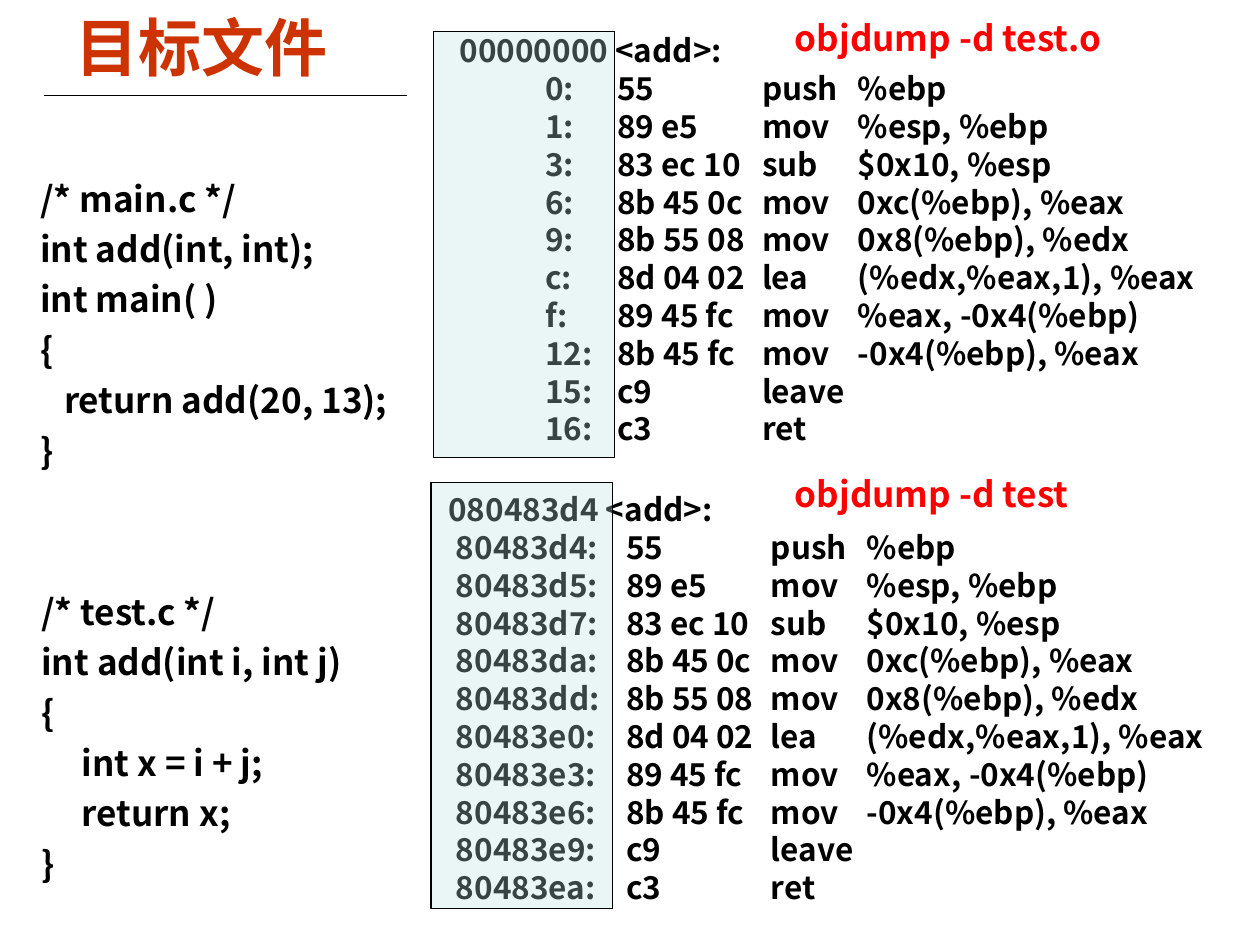
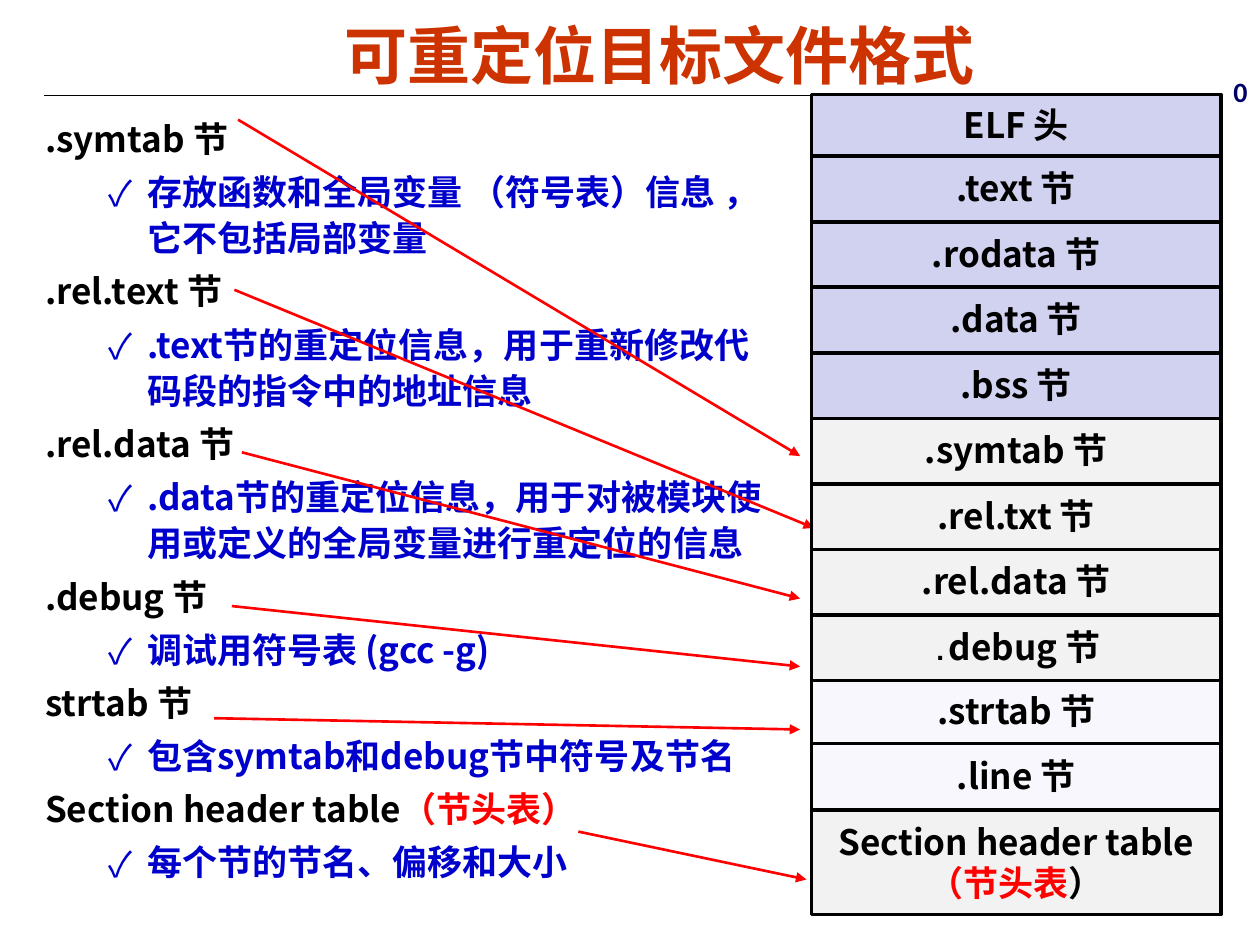
from lxml import etree
from pptx import Presentation
from pptx import util as u
from pptx.dml.color import RGBColor
from pptx.enum import shapes, text
from pptx.oxml.ns import qn

FONT = "Noto Sans CJK SC"
BLACK, WHITE, RED, BLUE = "000000", "FFFFFF", "FF0000", "0000CC"
TITLE_COLOUR, NAVY = "CC3300", "000066"
TEAL, LILAC, GREY, PALE = "BBE0E3", "D1D1F0", "F2F2F2", "D6D6F5"
MIDDLE = text.MSO_ANCHOR.MIDDLE
CENTER = text.PP_ALIGN.CENTER

INSTRUCTIONS = [
    ("55", "push", "%ebp"),
    ("89 e5", "mov", "%esp, %ebp"),
    ("83 ec 10", "sub", "$0x10, %esp"),
    ("8b 45 0c", "mov", "0xc(%ebp), %eax"),
    ("8b 55 08", "mov", "0x8(%ebp), %edx"),
    ("8d 04 02", "lea", "(%edx,%eax,1), %eax"),
    ("89 45 fc", "mov", "%eax, -0x4(%ebp)"),
    ("8b 45 fc", "mov", "-0x4(%ebp), %eax"),
    ("c9", "leave"),
    ("c3", "ret"),
]
MAIN_CODE = [("/* main.c */", 0), ("int add(int, int);", 0), ("int main( )", 0),
             ("{", 0), ("return add(20, 13);", 0.19), ("}", 0)]
TEST_CODE = [("/* test.c */", 0), ("int add(int i, int j)", 0), ("{", 0),
             ("int x = i + j;", 0.32), ("return x;", 0.32), ("}", 0)]
SECTION_NOTES = [
    ([(".symtab 节", BLACK)], "存放函数和全局变量 （符号表）信息 ，它不包括局部变量"),
    ([(".rel.text 节", BLACK)], ".text节的重定位信息，用于重新修改代码段的指令中的地址信息"),
    ([(".rel.data 节", BLACK)], ".data节的重定位信息，用于对被模块使用或定义的全局变量进行重定位的信息"),
    ([(".debug 节", BLACK)], "调试用符号表 (gcc -g)"),
    ([("strtab 节", BLACK)], "包含symtab和debug节中符号及节名"),
    ([("Section header table", BLACK), ("（节头表）", RED)], "每个节的节名、偏移和大小"),
]
ARROWS = [
    (1.89, 0.95, 6.35, 3.62),
    (1.86, 2.3, 6.46, 4.19),
    (1.92, 3.59, 6.35, 4.75),
    (1.84, 4.81, 6.35, 5.29),
    (1.7, 5.7, 6.35, 5.79),
    (4.59, 6.6, 6.4, 6.98),
]
SECTIONS = [
    ("ELF 头", 0.49, LILAC, None),
    (".text 节", 0.52, LILAC, None),
    (".rodata 节", 0.52, LILAC, None),
    (".data 节", 0.52, LILAC, None),
    (".bss 节", 0.52, LILAC, None),
    (".symtab 节", 0.52, GREY, None),
    (".rel.txt 节", 0.52, GREY, None),
    (".rel.data 节", 0.52, GREY, None),
    (".debug 节", 0.52, GREY, None),
    (".strtab 节", 0.5, PALE, 19),
    (".line 节", 0.53, PALE, 19),
]


def rgb(value):
    """Turn a hex string into a colour."""
    return RGBColor.from_string(value)


def set_font(font, size, colour=BLACK, name=FONT):
    """Style a bold font for Latin and East Asian characters."""
    font.size, font.bold, font.name = u.Pt(size), True, name
    font.color.rgb = rgb(colour)
    east_asian = etree.SubElement(font._element, qn("a:ea"))
    east_asian.set("typeface", FONT)


def set_indent(paragraph, left, first=0.0):
    """Set the left margin and the first-line indent."""
    properties = paragraph._p.get_or_add_pPr()
    properties.set("marL", str(u.Inches(left)))
    properties.set("indent", str(u.Inches(first)))
    return properties


def set_tabs(paragraph, stops):
    """Add left tab stops, given in inches."""
    tab_list = etree.SubElement(paragraph._p.get_or_add_pPr(), qn("a:tabLst"))
    for stop in stops:
        etree.SubElement(tab_list, qn("a:tab"), pos=str(u.Inches(stop)), algn="l")


def set_fill(shape, colour, alpha=None):
    """Fill a shape, with opacity in percent if given."""
    shape.fill.solid()
    shape.fill.fore_color.rgb = rgb(colour)
    if alpha is not None:
        colour_node = shape._element.spPr.find(qn("a:solidFill"))[0]
        etree.SubElement(colour_node, qn("a:alpha"), val=str(alpha * 1000))


def add_text(slide, left, top, width, height, anchor=text.MSO_ANCHOR.TOP):
    """Add a wrapping text box and return its shape."""
    shape = slide.shapes.add_textbox(*map(u.Inches, (left, top, width, height)))
    shape.text_frame.word_wrap = True
    shape.text_frame.vertical_anchor = anchor
    return shape


def add_box(slide, left, top, width, height, fill, line_width, alpha=None):
    """Add an outlined rectangle."""
    shape = slide.shapes.add_shape(
        shapes.MSO_SHAPE.RECTANGLE, *map(u.Inches, (left, top, width, height)))
    shape.shadow.inherit = False
    set_fill(shape, fill, alpha)
    shape.line.color.rgb = rgb(BLACK)
    shape.line.width = u.Pt(line_width)
    shape.text_frame.vertical_anchor = MIDDLE
    return shape


def next_paragraph(frame):
    """Return the unused first paragraph or a new one."""
    first = frame.paragraphs[0]
    return frame.add_paragraph() if first.runs else first


def write(paragraph, content, size, colour=BLACK, name=FONT, spacing=None):
    """Write text in one style, with exact line spacing in points."""
    paragraph.add_run().text = content
    if spacing:
        paragraph.line_spacing = u.Pt(spacing)
    set_font(paragraph.font, size, colour, name)


def write_runs(paragraph, parts, size, spacing):
    """Write runs of (text, colour) that share a size."""
    paragraph.line_spacing = u.Pt(spacing)
    for content, colour in parts:
        run = paragraph.add_run()
        run.text = content
        set_font(run.font, size, colour)


def add_line(slide, ends, colour, width, arrow=False):
    """Draw a straight line, with an arrowhead at its end if asked."""
    line = slide.shapes.add_connector(
        shapes.MSO_CONNECTOR.STRAIGHT, *map(u.Inches, ends))
    line.line.color.rgb = rgb(colour)
    line.line.width = u.Pt(width)
    properties = line._element.spPr
    if arrow:
        etree.SubElement(properties.find(qn("a:ln")), qn("a:tailEnd"), type="triangle")
    etree.SubElement(properties, qn("a:effectLst"))


def add_slide(presentation, title, area, align):
    """Add a slide with its rule and title."""
    slide = presentation.slides.add_slide(presentation.slide_layouts[6])
    add_line(slide, (0.35, 0.76, 9.65, 0.76), BLACK, 0.75)
    paragraph = add_text(slide, *area, MIDDLE).text_frame.paragraphs[0]
    paragraph.alignment = align
    write(paragraph, title, 36, TITLE_COLOUR, "Arial")
    return slide


def add_listing(slide, area, base, address_tab, bytes_tab):
    """Add a disassembly whose addresses follow from the byte counts."""
    shape = add_text(slide, *area, MIDDLE)
    set_fill(shape, WHITE)
    header = shape.text_frame.paragraphs[0]
    set_indent(header, 0, 0.32)
    write(header, f"{base:08x} <add>:", 18, spacing=21.6)
    address = base
    for instruction in INSTRUCTIONS:
        paragraph = next_paragraph(shape.text_frame)
        set_tabs(paragraph, (address_tab, bytes_tab, bytes_tab + 1.15, bytes_tab + 1.91))
        row = "\t".join(("", f"{address:x}:") + instruction)
        write(paragraph, row, 18, spacing=21.6)
        address += len(instruction[0].split())


def add_code(slide, area, lines):
    """Add source code, given as lines with their indents."""
    frame = add_text(slide, *area).text_frame
    for content, indent in lines:
        paragraph = next_paragraph(frame)
        set_indent(paragraph, indent)
        write(paragraph, content, 20, spacing=28.8)


def add_section_notes(slide):
    """Add section names, each with a ticked explanation."""
    frame = add_text(slide, 0.26, 0.85, 6.05, 6.33).text_frame
    for heading, note in SECTION_NOTES:
        paragraph = next_paragraph(frame)
        set_indent(paragraph, 0.38, -0.38)
        paragraph.space_before = u.Pt(4)
        write_runs(paragraph, heading, 20, 26.4)
        paragraph = next_paragraph(frame)
        paragraph.level = 1
        properties = set_indent(paragraph, 0.81, -0.31)
        etree.SubElement(properties, qn("a:buFont"), typeface=FONT)
        etree.SubElement(properties, qn("a:buChar"), char="✓")
        paragraph.space_before = u.Pt(4)
        write(paragraph, note, 20, BLUE, spacing=26.4)


def add_section_stack(slide):
    """Stack the sections of the ELF file from offset 0 down."""
    left, top, width = 6.44, 0.75, 3.25
    for name, height, fill, alpha in SECTIONS:
        shape = add_box(slide, left, top, width, height, fill, 2, alpha)
        paragraph = shape.text_frame.paragraphs[0]
        paragraph.alignment = CENTER
        if name == ".debug 节":
            write_runs(paragraph, [(".", BLACK), (name[1:], BLACK)], 20, 22.6)
            dot = paragraph.runs[0].font
            dot.size, dot.name = u.Pt(16), "Courier New"
        else:
            write(paragraph, name, 20, spacing=22.6)
        top += height
    frame = add_box(slide, left, top, width, 0.83, GREY, 2).text_frame
    for parts in ([("Section header table", BLACK)], [("（节头表", RED), ("）", BLACK)]):
        paragraph = next_paragraph(frame)
        paragraph.alignment = CENTER
        write_runs(paragraph, parts, 20, 23.5)
    offset = add_text(slide, 9.69, 0.54, 0.31, 0.36).text_frame
    write(offset.paragraphs[0], "0", 16, NAVY, "Calibri")


def build_object_files(presentation):
    """Build the slide that compares the two disassemblies."""
    slide = add_slide(presentation, "目标文件", (0.5, 0.06, 9, 0.61), text.PP_ALIGN.LEFT)
    add_listing(slide, (3.23, 0.2, 6.64, 3.4), 0, 1, 1.57)
    add_listing(slide, (3.14, 3.84, 6.75, 3.4), 0x80483D4, 0.38, 1.73)
    add_box(slide, 3.44, 0.25, 1.44, 3.38, TEAL, 0.75, 30)
    add_box(slide, 3.42, 3.83, 1.44, 3.38, TEAL, 0.75, 30)
    for command, top in (("objdump -d test.o", 0.08), ("objdump -d test", 3.7)):
        frame = add_text(slide, 6.21, top, 2.84, 0.43).text_frame
        write(frame.paragraphs[0], command, 20, RED, spacing=24)
    add_code(slide, (0.22, 1.29, 3.24, 2.5), MAIN_CODE)
    add_code(slide, (0.23, 4.57, 2.97, 2.5), TEST_CODE)


def build_file_format(presentation):
    """Build the slide on the relocatable file format."""
    slide = add_slide(presentation, "可重定位目标文件格式", (0.47, 0, 9.53, 0.86), CENTER)
    add_section_notes(slide)
    for ends in ARROWS:
        add_line(slide, ends, RED, 1.5, arrow=True)
    add_section_stack(slide)


def main():
    """Build and save the presentation."""
    presentation = Presentation()
    presentation.slide_width = u.Inches(10)
    presentation.slide_height = u.Inches(7.5)
    build_object_files(presentation)
    build_file_format(presentation)
    presentation.save("out.pptx")


main()
